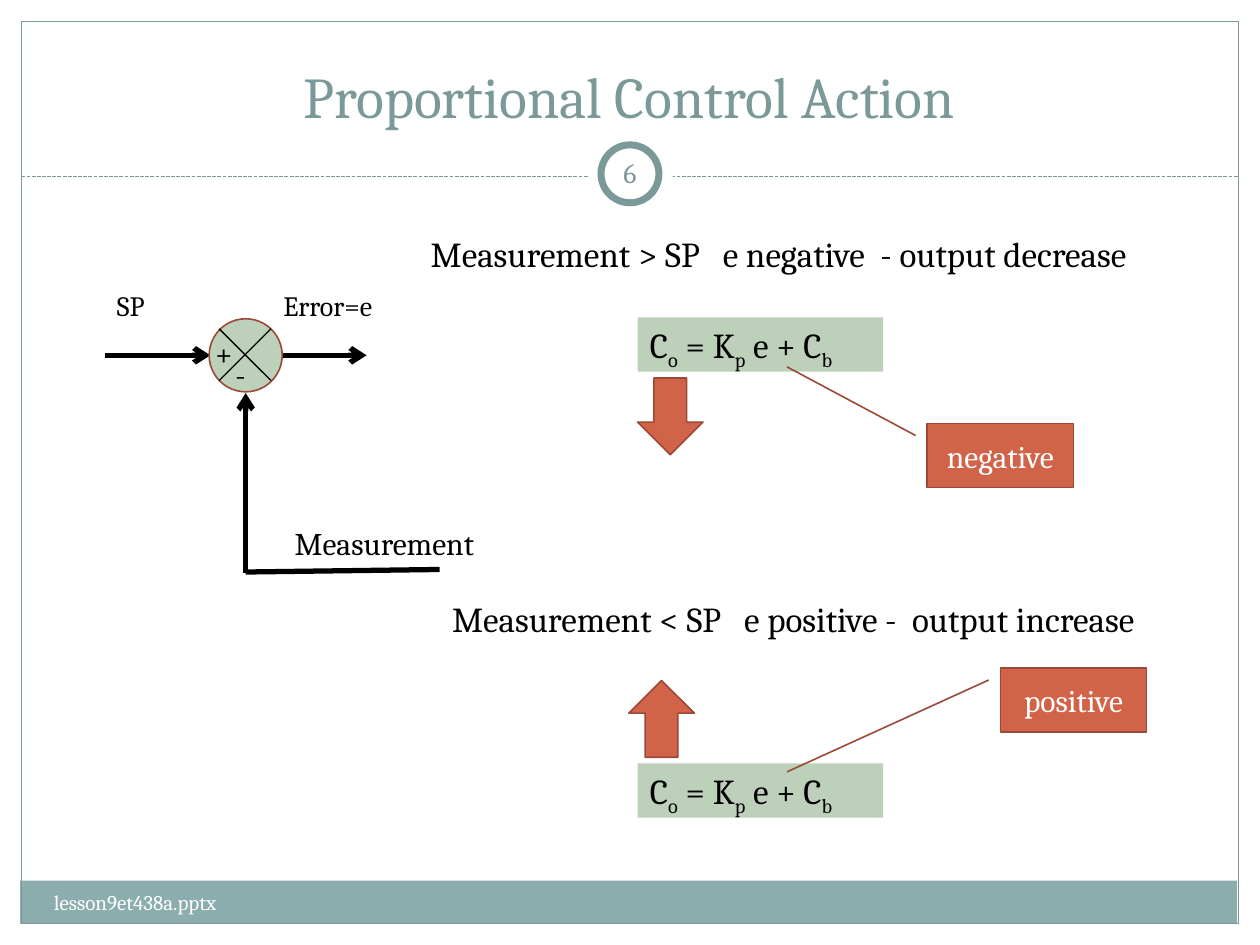
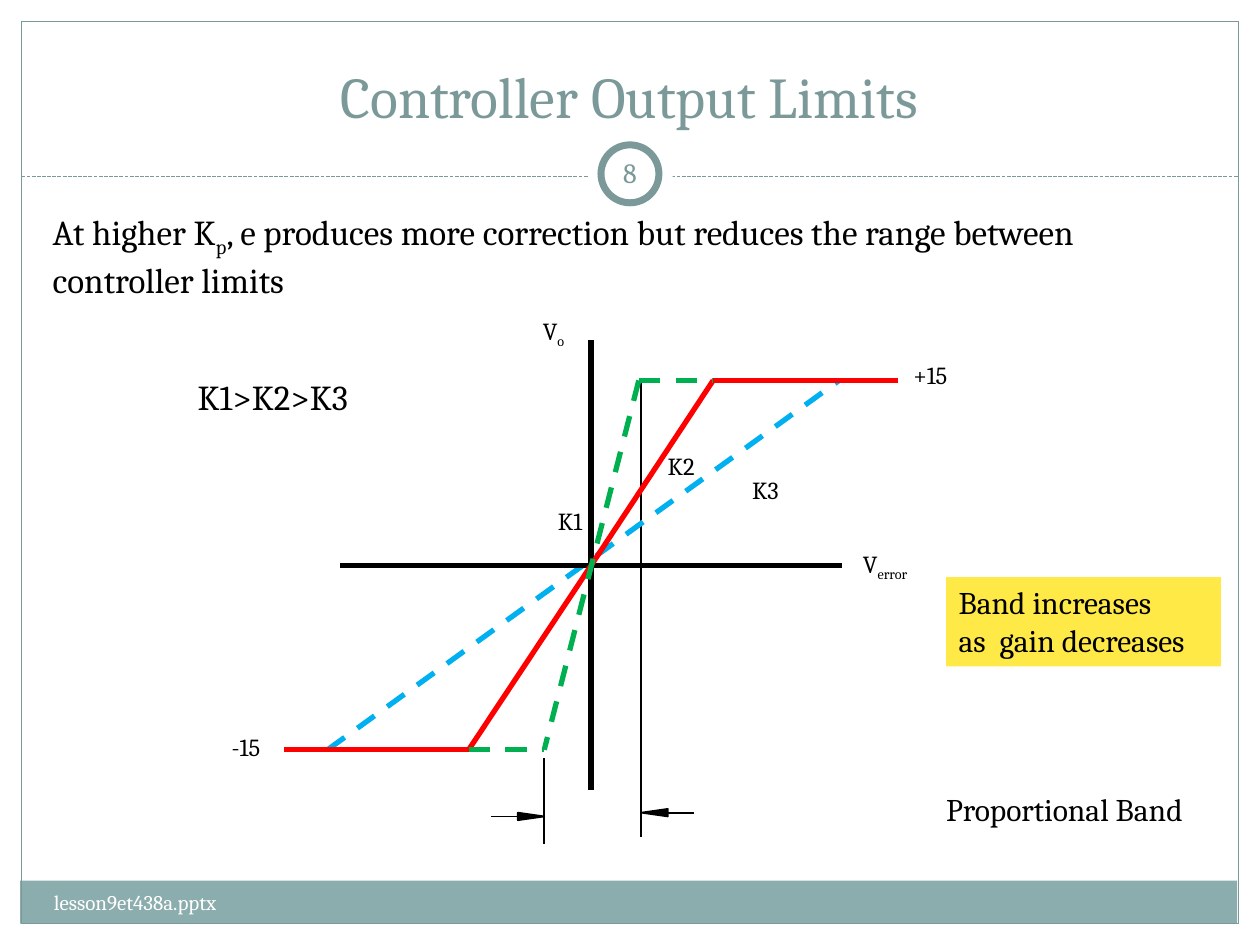
"""Two slides on proportional control: control action and controller output limits."""
from lxml import etree
from pptx import Presentation
from pptx import util as u
from pptx.dml import color as dml
from pptx.enum import dml as lines, shapes, text
from pptx.oxml import ns

FONT = "Cambria"
BLACK, WHITE = "000000", "FFFFFF"
TEAL, BAND = "7C999A", "8CADAE"
GREEN, RUST, RUST_EDGE, YELLOW = "BCD0BA", "D16349", "9B4936", "FFE947"
BLUE_CURVE, RED_CURVE, GREEN_CURVE = "00B0F0", "FF0000", "00B050"
CENTER, MIDDLE = text.PP_ALIGN.CENTER, text.MSO_ANCHOR.MIDDLE
PRESET = shapes.MSO_SHAPE
DASH, FINE_DASH = lines.MSO_LINE.DASH, lines.MSO_LINE.SQUARE_DOT
rgb = dml.RGBColor.from_string


def add_box(slide, bounds, words="", size=18, color=BLACK, fill=None, edge=None, weight=0.9,
            kind=None, align=text.PP_ALIGN.LEFT, anchor=text.MSO_ANCHOR.TOP, wrap=False):
    """Add a preset shape or text box; words between bars are subscripts."""
    position = [u.Inches(value) for value in bounds]
    if kind is None:
        shape = slide.shapes.add_textbox(*position)
    else:
        shape = slide.shapes.add_shape(kind, *position)
        shape.shadow.inherit = False
    if fill:
        shape.fill.solid()
        shape.fill.fore_color.rgb = rgb(fill)
    else:
        shape.fill.background()
    if edge:
        shape.line.color.rgb = rgb(edge)
        shape.line.width = u.Pt(weight)
    else:
        shape.line.fill.background()
    if words:
        frame = shape.text_frame
        frame.word_wrap = wrap
        frame.vertical_anchor = anchor
        for row, sentence in enumerate(words.split("\n")):
            paragraph = frame.add_paragraph() if row else frame.paragraphs[0]
            paragraph.alignment = align
            for index, part in enumerate(sentence.split("|")):
                if not part:
                    continue
                run = paragraph.add_run()
                run.text = part
                run.font.name = FONT
                run.font.size = u.Pt(size)
                run.font.color.rgb = rgb(color)
                if index % 2:
                    run._r.get_or_add_rPr().set("baseline", "-25000")
    return shape


def add_line(slide, ends, color=BLACK, weight=1, dash=None, arrow=False):
    """Add a straight connector, with an open arrowhead at its end if asked."""
    connector = slide.shapes.add_connector(
        shapes.MSO_CONNECTOR.STRAIGHT, *[u.Inches(value) for value in ends])
    connector.line.color.rgb = rgb(color)
    connector.line.width = u.Pt(weight)
    if dash:
        connector.line.dash_style = dash
    properties = connector._element.spPr
    if arrow:
        outline = properties.find(ns.qn("a:ln"))
        etree.SubElement(outline, ns.qn("a:tailEnd"), type="arrow")
    etree.SubElement(properties, ns.qn("a:effectLst"))


presentation = Presentation()
presentation.slide_width = u.Inches(10)
presentation.slide_height = u.Inches(7.5)

slides = []
for title, number in [("Proportional Control Action", "6"), ("Controller Output Limits", "8")]:
    slide = presentation.slides.add_slide(presentation.slide_layouts[6])
    add_box(slide, (0.16, 6.99, 9.66, 0.34), fill=BAND, kind=PRESET.RECTANGLE)
    add_box(slide, (0.17, 0.17, 9.66, 7.16), edge=TEAL, weight=0.75, kind=PRESET.RECTANGLE)
    add_line(slide, (0.17, 1.4, 9.83, 1.4), TEAL, 0.75, FINE_DASH)
    add_box(slide, (4.67, 1.05, 0.67, 0.67), fill=WHITE, kind=PRESET.OVAL)
    add_box(slide, (4.77, 1.15, 0.46, 0.46), fill=WHITE, edge=TEAL, weight=4, kind=PRESET.OVAL)
    add_box(slide, (0.33, 0.25, 9.33, 0.83), title, 33, TEAL, align=CENTER,
            anchor=text.MSO_ANCHOR.BOTTOM, wrap=True)
    add_box(slide, (0.33, 7.01, 3.92, 0.4), "lesson9et438a.pptx", 12, WHITE, wrap=True)
    add_box(slide, (4.75, 1.13, 0.5, 0.48), number, 16, TEAL, align=CENTER, anchor=MIDDLE, wrap=True)
    slides.append(slide)
action, limits = slides

for ends, arrow in [
    ((2.24, 2.82, 2.91, 2.82), True),
    ((0.83, 2.82, 1.67, 2.82), True),
    ((1.95, 4.55, 1.95, 3.12), True),
    ((3.49, 4.52, 1.95, 4.54), False),
]:
    add_line(action, ends, weight=3, arrow=arrow)

add_box(action, (1.66, 2.53, 0.58, 0.58), fill=GREEN, edge=RUST_EDGE, kind=PRESET.OVAL)
for start, end in [(1.74, 2.15), (2.15, 1.74)]:
    add_line(action, (start, 2.61, end, 3.02), weight=0.75)

for bounds, words, size in [
    ((0.83, 2.24, 0.46, 0.37), "SP", 16),
    ((2.15, 2.24, 1, 0.37), "Error=e", 16),
    ((1.61, 2.6, 0.36, 0.4), "+", 18),
    ((1.77, 2.77, 0.3, 0.4), "-", 18),
    ((2.24, 4.11, 1.75, 0.4), "Measurement", 18),
    ((3.32, 1.8, 6.35, 0.44), "Measurement > SP   e negative  - output decrease", 20),
    ((3.49, 4.69, 6.17, 0.43), "Measurement < SP   e positive -  output increase", 20),
]:
    add_box(action, bounds, words, size)

for equation_top, arrow_kind, arrow_left, arrow_top, sign, sign_left, sign_top, pointer in [
    (2.52, PRESET.DOWN_ARROW, 5.06, 3, "negative", 7.36, 3.36, (0.19, -0.08, -0.88, -0.96)),
    (6.06, PRESET.UP_ARROW, 4.99, 5.4, "positive", 7.94, 5.3, (0.19, -0.08, 1.62, -1.46)),
]:
    add_box(action, (5.06, equation_top, 1.95, 0.43), "C|o| = K|p| e + C|b", 20,
            fill=GREEN, kind=PRESET.RECTANGLE)
    add_box(action, (arrow_left, arrow_top, 0.52, 0.61), fill=RUST, edge=RUST_EDGE, kind=arrow_kind)
    callout = add_box(action, (sign_left, sign_top, 1.16, 0.51), sign, 18, WHITE, RUST, RUST_EDGE,
                      kind=PRESET.LINE_CALLOUT_1, align=CENTER, anchor=MIDDLE, wrap=True)
    for index, value in enumerate(pointer):
        callout.adjustments[index] = value

add_box(limits, (0.32, 1.62, 9.33, 0.77),
        "At higher K|p|, e produces more correction but reduces the range between controller limits",
        20, wrap=True)

upper, lower = 3.02, 5.95
origin_x, origin_y = 4.69, 4.49
band_left, band_right = 4.32, 5.09
add_line(limits, (band_left, 6.02, band_left, 6.7))
add_line(limits, (band_right, upper, band_right, 6.64))
for tip, y, direction in [(band_left, 6.48, -1), (band_right, 6.45, 1)]:
    base = tip + direction * 0.21
    add_line(limits, (base, y, base + direction * 0.21, y))
    builder = limits.shapes.build_freeform(u.Inches(base), u.Inches(y - 0.03))
    builder.add_line_segments(
        [(u.Inches(base), u.Inches(y + 0.03)), (u.Inches(tip), u.Inches(y))], close=True)
    arrowhead = builder.convert_to_shape()
    arrowhead.shadow.inherit = False
    arrowhead.fill.solid()
    arrowhead.fill.fore_color.rgb = rgb(BLACK)
    arrowhead.line.color.rgb = rgb(BLACK)
    arrowhead.line.width = u.Pt(1)

for ends, color, dash in [
    ((2.6, lower, 6.66, upper), BLUE_CURVE, DASH),
    ((2.7, origin_y, 6.68, origin_y), BLACK, None),
    ((origin_x, 2.7, origin_x, 6.27), BLACK, None),
    ((origin_x, origin_y, 3.72, lower), RED_CURVE, None),
    ((3.72, lower, 2.25, lower), RED_CURVE, None),
    ((origin_x, origin_y, 5.66, upper), RED_CURVE, None),
    ((5.66, upper, 7.13, upper), RED_CURVE, None),
    ((5.07, upper, band_left, lower), GREEN_CURVE, DASH),
    ((5.07, upper, 5.66, upper), GREEN_CURVE, DASH),
    ((3.72, lower, band_left, lower), GREEN_CURVE, DASH),
]:
    add_line(limits, ends, color, 3, dash)

for bounds, words, size in [
    ((1.47, 2.93, 1.58, 0.43), "K1>K2>K3", 20),
    ((4.33, 3.97, 0.42, 0.34), "K1", 14),
    ((5.2, 3.53, 0.45, 0.34), "K2", 14),
    ((5.87, 3.72, 0.45, 0.34), "K3", 14),
    ((4.21, 2.46, 0.4, 0.34), "V|o", 14),
    ((6.75, 4.31, 0.63, 0.34), "V|error", 14),
    ((7.15, 2.81, 0.52, 0.34), "+15", 14),
    ((1.74, 5.76, 0.46, 0.34), "-15", 14),
    ((7.41, 6.22, 2.28, 0.4), "Proportional Band", 18),
]:
    add_box(limits, bounds, words, size)
add_box(limits, (7.51, 4.58, 2.18, 0.71), "Band increases\nas  gain decreases",
        fill=YELLOW, kind=PRESET.RECTANGLE)

presentation.save("out.pptx")
